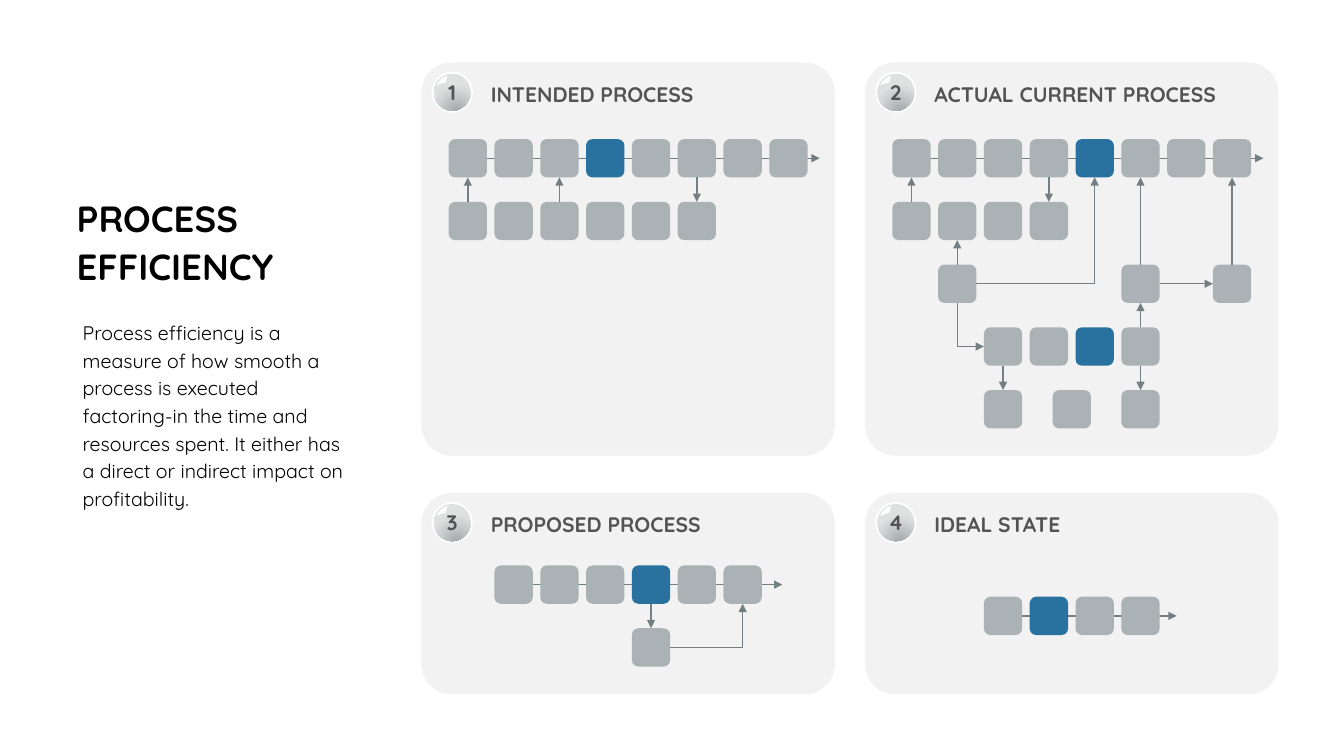
from lxml import etree
from pptx import Presentation, util as u
from pptx.dml.color import RGBColor
from pptx.enum import shapes, text
from pptx.oxml.ns import qn

HEADING = "PROCESS EFFICIENCY"
SUMMARY = ("Process efficiency is a measure of how smooth a process is executed "
           "factoring-in the time and resources spent. It either has a direct or "
           "indirect impact on profitability.")
FONT = "Quicksand"
COLORS = {"panel": "F2F2F2", "label": "535353", "white": "FFFFFF", "black": "000000",
          "step": "ABB2B5", "key": "29719F", "line": "747F83",
          "badge_dark": "A3AAAB", "badge_light": "DFE1E1"}

# Steps and links are (row, column) on the panel's grid; "first" is the top of
# row 0 and "flow" the ends of the main arrow, both inside the panel.
PANELS = [
    {"title": "INTENDED PROCESS", "at": (0, 0), "first": 0.76, "flow": (0.65, 3.95),
     "rows": [range(8), range(6)], "key": [(0, 3)],
     "links": [((1, 0), (0, 0)), ((1, 2), (0, 2)), ((0, 5), (1, 5))]},
    {"title": "ACTUAL CURRENT PROCESS", "at": (0, 1), "first": 0.76, "flow": (0.64, 3.95),
     "rows": [range(8), range(4), (1, 5, 7), range(2, 6), (2, 3.5, 5)],
     "key": [(0, 4), (3, 4)],
     "links": [((1, 0), (0, 0)), ((0, 3), (1, 3)), ((2, 1), (1, 1)), ((2, 1), (0, 4)),
               ((2, 5), (0, 5)), ((2, 7), (0, 7)), ((2, 5), (2, 7)), ((3, 5), (2, 5)),
               ((2, 1), (3, 2)), ((3, 2), (4, 2)), ((3, 5), (4, 5))]},
    {"title": "PROPOSED PROCESS", "at": (1, 0), "first": 0.72, "flow": (0.73, 3.58),
     "rows": [range(1, 7), (4,)], "key": [(0, 4)],
     "links": [((0, 4), (1, 4)), ((1, 4), (0, 6))]},
    {"title": "IDEAL STATE", "at": (1, 1), "first": 1.03, "flow": (1.18, 3.09),
     "rows": [range(2, 6)], "key": [(0, 3)], "links": []},
]
PANEL_LEFTS, PANEL_WIDTH = (4.18, 8.58), 4.1
PANEL_ROWS = ((0.62, 3.9), (4.89, 2))  # top, height
CORNER = 0.3
STEP, STEP_LEFT = 0.38, 0.27
COLUMN_PITCH, ROW_PITCH = 3.18 / 7, 2.49 / 4
GLINT = [(0.15, 0.23), (0.17, 0.19), (0.21, 0.15), (0.26, 0.13),
         (0.25, 0.16), (0.24, 0.2), (0.19, 0.21)]
TOP, LEFT, BOTTOM, RIGHT = range(4)  # connection sites of a box


def color(name):
    return RGBColor.from_string(COLORS[name])


def paint(shape, name):
    shape.shadow.inherit = False
    shape.fill.solid()
    shape.fill.fore_color.rgb = color(name)
    shape.line.fill.background()
    return shape


def add_box(page, kind, left, top, width, height, fill):
    return paint(page.shapes.add_shape(kind, *map(u.Inches, (left, top, width, height))), fill)


def write(shape, words, size, ink, bold, insets, anchor, align):
    frame = shape.text_frame
    frame.word_wrap = True
    frame.auto_size = text.MSO_AUTO_SIZE.NONE
    frame.vertical_anchor = anchor
    (frame.margin_left, frame.margin_top,
     frame.margin_right, frame.margin_bottom) = map(u.Inches, insets)
    para = frame.paragraphs[0]
    para.alignment = align
    para.space_before = u.Pt(0)
    span = para.add_run()
    span.text = words
    span.font.name, span.font.size, span.font.bold = FONT, u.Pt(size), bold
    span.font.color.rgb = color(ink)
    return para


def style_line(line, arrow="tailEnd"):
    line.line.color.rgb = color("line")
    line.line.width = u.Pt(1)
    props = line._element.spPr
    etree.SubElement(props.find(qn("a:ln")), qn(f"a:{arrow}"), type="triangle")
    etree.SubElement(props, qn("a:effectLst"))


def add_link(page, boxes, start, end):
    """Arrow between two steps; elbows always leave their begin sideways."""
    arrow, elbow = "tailEnd", False
    if start[1] == end[1]:
        sites = (BOTTOM, TOP) if end[0] > start[0] else (TOP, BOTTOM)
    elif start[0] == end[0]:
        sites = RIGHT, LEFT
    else:
        elbow, sites = True, (RIGHT, BOTTOM)
        if end[0] > start[0]:
            start, end, arrow, sites = end, start, "headEnd", (LEFT, BOTTOM)
    kind = shapes.MSO_CONNECTOR.ELBOW if elbow else shapes.MSO_CONNECTOR.STRAIGHT
    link = page.shapes.add_connector(kind, 0, 0, 0, 0)
    link.begin_connect(boxes[start], sites[0])
    link.end_connect(boxes[end], sites[1])
    if elbow:
        link._element.spPr.find(qn("a:prstGeom")).set("prst", "bentConnector2")
    style_line(link, arrow)


def add_badge(page, left, top, number):
    oval = shapes.MSO_SHAPE.OVAL
    add_box(page, oval, left + 0.1, top + 0.09, 0.41, 0.41, "white")
    badge = add_box(page, oval, left + 0.12, top + 0.11, 0.37, 0.37, "white")
    badge.fill.gradient()
    for stop, name in zip(badge.fill.gradient_stops, ("badge_dark", "badge_light")):
        stop.color.rgb = color(name)
    gradient = badge._element.spPr.find(qn("a:gradFill"))
    gradient.remove(gradient.find(qn("a:lin")))
    circle = etree.SubElement(gradient, qn("a:path"), path="circle")
    etree.SubElement(circle, qn("a:fillToRect"), l="62000", t="120000", r="38000", b="-20000")
    write(badge, str(number), 15, "label", True, [0.04] * 4,
          text.MSO_ANCHOR.MIDDLE, text.PP_ALIGN.CENTER)
    points = [(u.Inches(left + x), u.Inches(top + y)) for x, y in GLINT]
    outline = page.shapes.build_freeform(*points[0])
    outline.add_line_segments(points[1:], close=True)
    paint(outline.convert_to_shape(), "white")


def add_panel(page, number, panel):
    rounded = shapes.MSO_SHAPE.ROUNDED_RECTANGLE
    row, column = panel["at"]
    left, (top, height) = PANEL_LEFTS[column], PANEL_ROWS[row]
    card = add_box(page, rounded, left, top, PANEL_WIDTH, height, "panel")
    card.adjustments[0] = CORNER / height
    write(card, panel["title"], 15, "label", True, (0.6, 0.1, 0.1, 0.05),
          text.MSO_ANCHOR.TOP, text.PP_ALIGN.LEFT)
    add_badge(page, left, top, number)

    first = top + panel["first"]
    begin, end = (u.Inches(left + x) for x in panel["flow"])
    middle = u.Inches(first + STEP / 2)
    style_line(page.shapes.add_connector(shapes.MSO_CONNECTOR.STRAIGHT,
                                         begin, middle, end, middle))
    boxes = {}
    for r, columns in enumerate(panel["rows"]):
        for c in columns:
            boxes[r, c] = add_box(page, rounded, left + STEP_LEFT + c * COLUMN_PITCH,
                                  first + r * ROW_PITCH, STEP, STEP,
                                  "key" if (r, c) in panel["key"] else "step")
    for start, end in panel["links"]:
        add_link(page, boxes, start, end)


def place(shape, left, top, width, height):
    shape.left, shape.top, shape.width, shape.height = map(u.Inches, (left, top, width, height))


def main():
    deck = Presentation()
    deck.slide_width, deck.slide_height = u.Inches(13.33), u.Inches(7.5)
    page = deck.slides.add_slide(deck.slide_layouts[1])

    title, body = page.shapes.title, page.placeholders[1]
    place(title, 0.66, 1.9, 2.51, 0.96)
    para = write(title, HEADING, 26, "black", True, (0.1, 0.05, 0.1, 0.05),
                 text.MSO_ANCHOR.MIDDLE, text.PP_ALIGN.LEFT)
    para.line_spacing = u.Pt(34)

    place(body, 0.66, 2.98, 2.91, 2.62)
    para = write(body, SUMMARY, 14, "black", False, [0.16] * 4,
                 text.MSO_ANCHOR.TOP, text.PP_ALIGN.LEFT)
    props = para._p.get_or_add_pPr()
    props.set("marL", "0")
    props.set("indent", "0")
    etree.SubElement(props, qn("a:buNone"))
    para.line_spacing, para.space_after = u.Pt(19.8), u.Pt(10)

    for number, panel in enumerate(PANELS, 1):
        add_panel(page, number, panel)
    deck.save("out.pptx")


if __name__ == "__main__":
    main()
